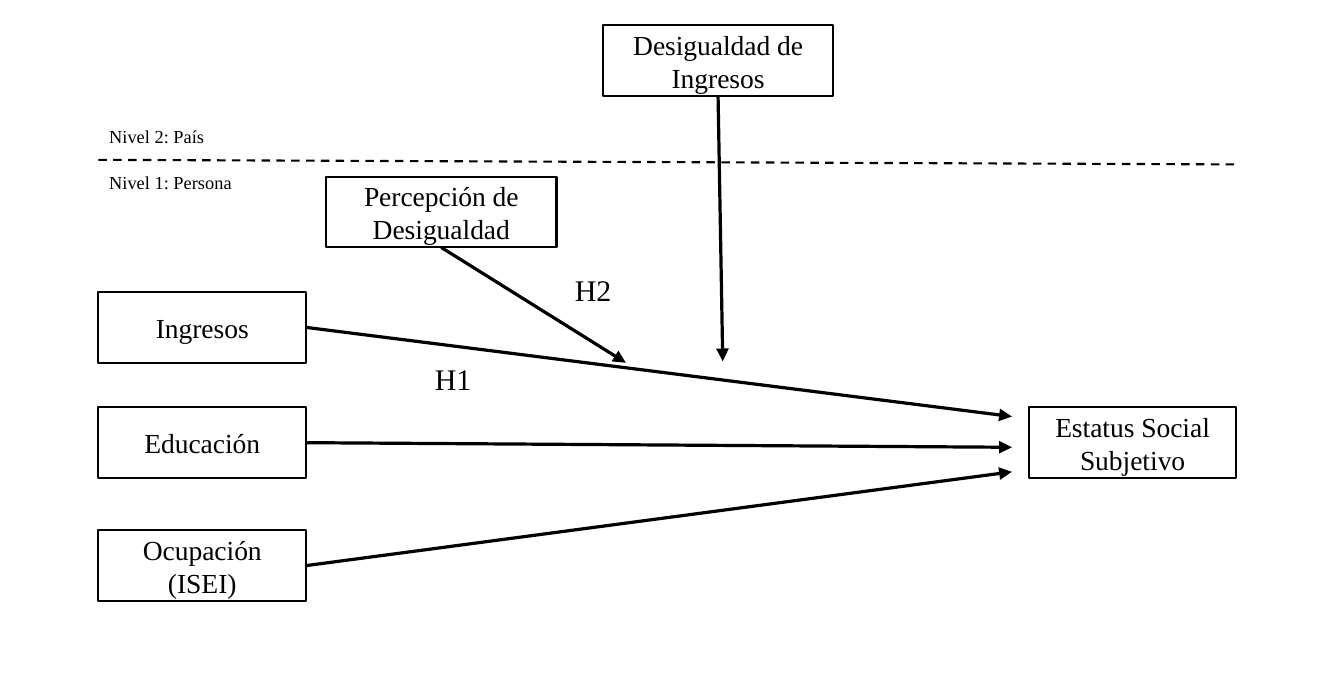
"""Draw a two-level model of subjective social status."""
from dataclasses import dataclass

from lxml import etree
from pptx import Presentation
from pptx.dml.color import RGBColor
from pptx.enum.dml import MSO_LINE
from pptx.enum.shapes import MSO_CONNECTOR, MSO_SHAPE
from pptx.enum.text import MSO_ANCHOR, MSO_AUTO_SIZE, PP_ALIGN
from pptx.oxml.ns import qn
from pptx.util import Inches, Pt

RECTANGLE = MSO_SHAPE.RECTANGLE
STRAIGHT = MSO_CONNECTOR.STRAIGHT
DASH = MSO_LINE.DASH
MIDDLE, TOP = MSO_ANCHOR.MIDDLE, MSO_ANCHOR.TOP
CENTER, LEFT = PP_ALIGN.CENTER, PP_ALIGN.LEFT
FIT_SHAPE = MSO_AUTO_SIZE.SHAPE_TO_FIT_TEXT
BOTTOM_SITE, RIGHT_SITE = 2, 3
BLANK_LAYOUT = 6

MARGIN = 6.4
RIGHT_EDGE = 80.4
BOX_WIDTH = 13.5
MODERATOR_WIDTH = 15
BOX_HEIGHT = 4.6
ARROW_END = 65.8


@dataclass(frozen=True)
class Theme:
    """Hold the colours, font, type sizes and line widths."""
    ink: RGBColor = RGBColor(0, 0, 0)
    paper: RGBColor = RGBColor(255, 255, 255)
    font: str = "Times New Roman"
    box_size: float = 12.9
    level_size: float = 8.6
    hypothesis_size: float = 14
    thin: float = 1
    thick: float = 1.5


THEME = Theme()


def grid(*cells):
    """Turn columns or rows of a tenth of an inch into lengths."""
    return [Inches(cell / 10) for cell in cells]


def write(shape, text, size, align=LEFT, anchor=MIDDLE, insets=(0.7, 0.4)):
    """Put one formatted paragraph in a shape."""
    frame = shape.text_frame
    frame.text = text
    frame.word_wrap = True
    frame.vertical_anchor = anchor
    side, edge = grid(*insets)
    frame.margin_left = frame.margin_right = side
    frame.margin_top = frame.margin_bottom = edge
    para = frame.paragraphs[0]
    para.alignment = align
    font = para.runs[0].font
    font.name, font.size = THEME.font, Pt(size)
    font.color.rgb = THEME.ink


def add_box(page, text, left, top, width=BOX_WIDTH):
    """Add an outlined box for one variable."""
    box = page.shapes.add_shape(RECTANGLE, *grid(left, top, width, BOX_HEIGHT))
    box.shadow.inherit = False
    box.fill.solid()
    box.fill.fore_color.rgb = THEME.paper
    box.line.color.rgb = THEME.ink
    box.line.width = Pt(THEME.thin)
    write(box, text, THEME.box_size, CENTER)
    return box


def add_level(page, text, top, height):
    """Add the small label of a level."""
    label = page.shapes.add_textbox(*grid(MARGIN, top, 10.3, height))
    write(label, text, THEME.level_size)


def add_hypothesis(page, text, left, top):
    """Add the label of a hypothesis."""
    label = page.shapes.add_textbox(*grid(left, top, 5.7, 3.4))
    write(label, text, THEME.hypothesis_size, anchor=TOP, insets=(1, 0.5))
    label.text_frame.auto_size = FIT_SHAPE


def add_line(page, start, end, width):
    """Add a straight line without a shadow."""
    line = page.shapes.add_connector(STRAIGHT, *grid(*start, *end))
    line.line.color.rgb = THEME.ink
    line.line.width = Pt(width)
    etree.SubElement(line._element.spPr, qn("a:effectLst"))
    return line


def add_arrow(page, box, site, end):
    """Add an arrow from a connection site of a box to a point."""
    arrow = add_line(page, (0, 0), end, THEME.thick)
    arrow.begin_connect(box, site)
    etree.SubElement(arrow.line._get_or_add_ln(), qn("a:tailEnd"), type="triangle")


def main():
    """Build the page and save the deck."""
    deck = Presentation()
    deck.slide_width, deck.slide_height = Inches(8.74), Inches(4.45)
    page = deck.slides.add_slide(deck.slide_layouts[BLANK_LAYOUT])

    add_box(page, "Estatus Social Subjetivo", RIGHT_EDGE - BOX_WIDTH, 26.5)
    predictors = [("Ingresos", 19, 27.1), ("Educación", 26.5, 29.1),
                  ("Ocupación (ISEI)", 34.5, 30.7)]
    for text, top, arrow_row in predictors:
        box = add_box(page, text, MARGIN, top)
        add_arrow(page, box, RIGHT_SITE, (ARROW_END, arrow_row))

    divider = add_line(page, (MARGIN, 10.4), (RIGHT_EDGE, 10.7), THEME.thin)
    divider.line.dash_style = DASH

    moderators = [("Percepción de Desigualdad", 21.2, 11.5, (40.7, 23.6)),
                  ("Desigualdad de Ingresos", 39.2, 1.65, (47, 23.5))]
    for text, left, top, target in moderators:
        box = add_box(page, text, left, top, MODERATOR_WIDTH)
        add_arrow(page, box, BOTTOM_SITE, target)

    add_level(page, "Nivel 2: País", 7.9, 1.9)
    add_level(page, "Nivel 1: Persona", 11, 1.7)
    add_hypothesis(page, "H2", 36.4, 17.2)
    add_hypothesis(page, "H1", 27.3, 23)
    deck.save("out.pptx")


if __name__ == "__main__":
    main()
